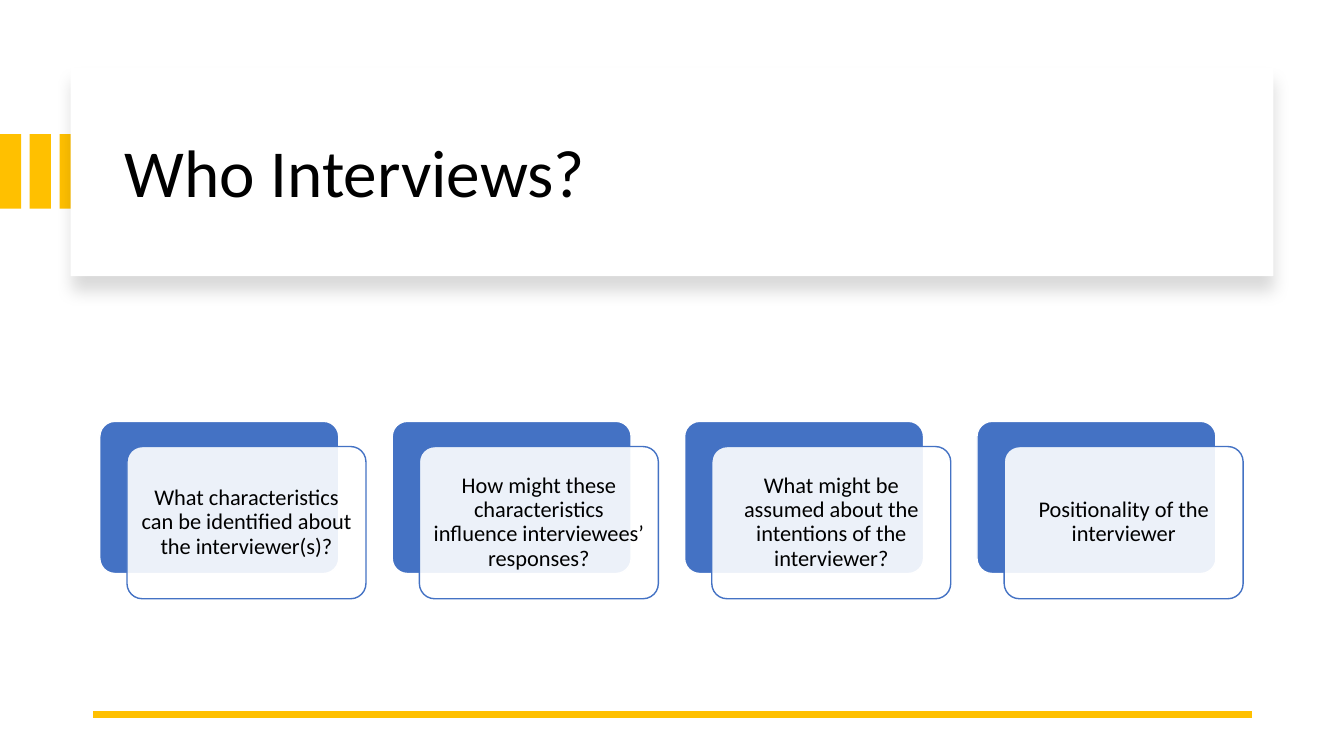
from lxml import etree
from pptx import Presentation
from pptx.dml.color import RGBColor
from pptx.enum.shapes import MSO_CONNECTOR, MSO_SHAPE
from pptx.enum.text import MSO_ANCHOR, PP_ALIGN
from pptx.oxml.ns import qn
from pptx.util import Inches, Pt

RECTANGLE = MSO_SHAPE.RECTANGLE
ROUNDED = MSO_SHAPE.ROUNDED_RECTANGLE
STRAIGHT = MSO_CONNECTOR.STRAIGHT
MIDDLE = MSO_ANCHOR.MIDDLE
LEFT, CENTER = PP_ALIGN.LEFT, PP_ALIGN.CENTER

THEME = {
    "font": "Calibri",
    "title_size": 48,
    "card_size": 16,
    "text": RGBColor.from_string("000000"),
    "paper": RGBColor.from_string("FFFFFF"),
    "gold": RGBColor.from_string("FFC000"),
    "blue": RGBColor.from_string("4472C4"),
}


def add_block(parent, kind, frame, fill, outline=None):
    block = parent.shapes.add_shape(kind, *map(Inches, frame))
    block.shadow.inherit = False
    block.fill.solid()
    block.fill.fore_color.rgb = fill
    if outline is None:
        block.line.fill.background()
    else:
        block.line.color.rgb = outline
        block.line.width = Pt(1)
    if kind == ROUNDED:
        block.adjustments[0] = 0.1
    return block


def add_words(parent, frame, words, size, align, side_inset, end_inset):
    box = parent.shapes.add_textbox(*map(Inches, frame))
    text = box.text_frame
    text.word_wrap = True
    text.vertical_anchor = MIDDLE
    text.margin_left = text.margin_right = Inches(side_inset)
    text.margin_top = text.margin_bottom = Inches(end_inset)
    para = text.paragraphs[0]
    para.alignment = align
    para.line_spacing = 0.9
    span = para.add_run()
    span.text = words
    span.font.name = THEME["font"]
    span.font.size = Pt(size)
    span.font.color.rgb = THEME["text"]


deck = Presentation()
deck.slide_width, deck.slide_height = Inches(13.33), Inches(7.5)
page = deck.slides.add_slide(deck.slide_layouts[6])

STRIPE_WIDTH, STRIPE_STEP = 0.21, 0.295
stripes = page.shapes.add_group_shape()
for column in range(3):
    frame = (column * STRIPE_STEP, 1.33, STRIPE_WIDTH, 0.74)
    add_block(stripes, RECTANGLE, frame, THEME["gold"])

panel = add_block(page, RECTANGLE, (0.7, 0.67, 11.93, 2.07), THEME["paper"])
effects = panel._element.spPr.find(qn("a:effectLst"))
shadow = etree.SubElement(
    effects, qn("a:outerShdw"), blurRad=str(Pt(11)), dist=str(Pt(10)),
    dir="5400000", algn="t", rotWithShape="0",
)
shade = etree.SubElement(shadow, qn("a:srgbClr"), val=str(THEME["text"]))
etree.SubElement(shade, qn("a:alpha"), val="15000")
add_words(page, (1.14, 0.89, 11.13, 1.7), "Who Interviews?",
          THEME["title_size"], LEFT, 0.1, 0.05)

rule = page.shapes.add_connector(
    STRAIGHT, Inches(12.42), Inches(7.09), Inches(0.92), Inches(7.09))
rule.line.color.rgb = THEME["gold"]
rule.line.width = Pt(4.5)
etree.SubElement(rule._element.spPr, qn("a:effectLst"))

QUESTIONS = [
    "What characteristics can be identified about the interviewer(s)?",
    "How might these characteristics influence interviewees’ responses?",
    "What might be assumed about the intentions of the interviewer?",
    "Positionality of the interviewer",
]
GRID_LEFT, GRID_TOP, COLUMN_STEP = 0.99, 4.18, 2.9
CARD_WIDTH, CARD_HEIGHT = 2.37, 1.51
OFFSET_X, OFFSET_Y, PADDING = 0.27, 0.25, 0.04

cards = page.shapes.add_group_shape()
for column, question in enumerate(QUESTIONS):
    left = GRID_LEFT + column * COLUMN_STEP
    add_block(cards, ROUNDED, (left, GRID_TOP, CARD_WIDTH, CARD_HEIGHT),
              THEME["blue"], THEME["paper"])
    front_left, front_top = left + OFFSET_X, GRID_TOP + OFFSET_Y
    front = add_block(cards, ROUNDED,
                      (front_left, front_top, CARD_WIDTH, CARD_HEIGHT),
                      THEME["paper"], THEME["blue"])
    tint = front._element.spPr.find(qn("a:solidFill")).find(qn("a:srgbClr"))
    etree.SubElement(tint, qn("a:alpha"), val="90000")
    add_words(cards,
              (front_left + PADDING, front_top + PADDING,
               CARD_WIDTH - 2 * PADDING, CARD_HEIGHT - 2 * PADDING),
              question, THEME["card_size"], CENTER, 0.07, 0.07)

deck.save("out.pptx")
